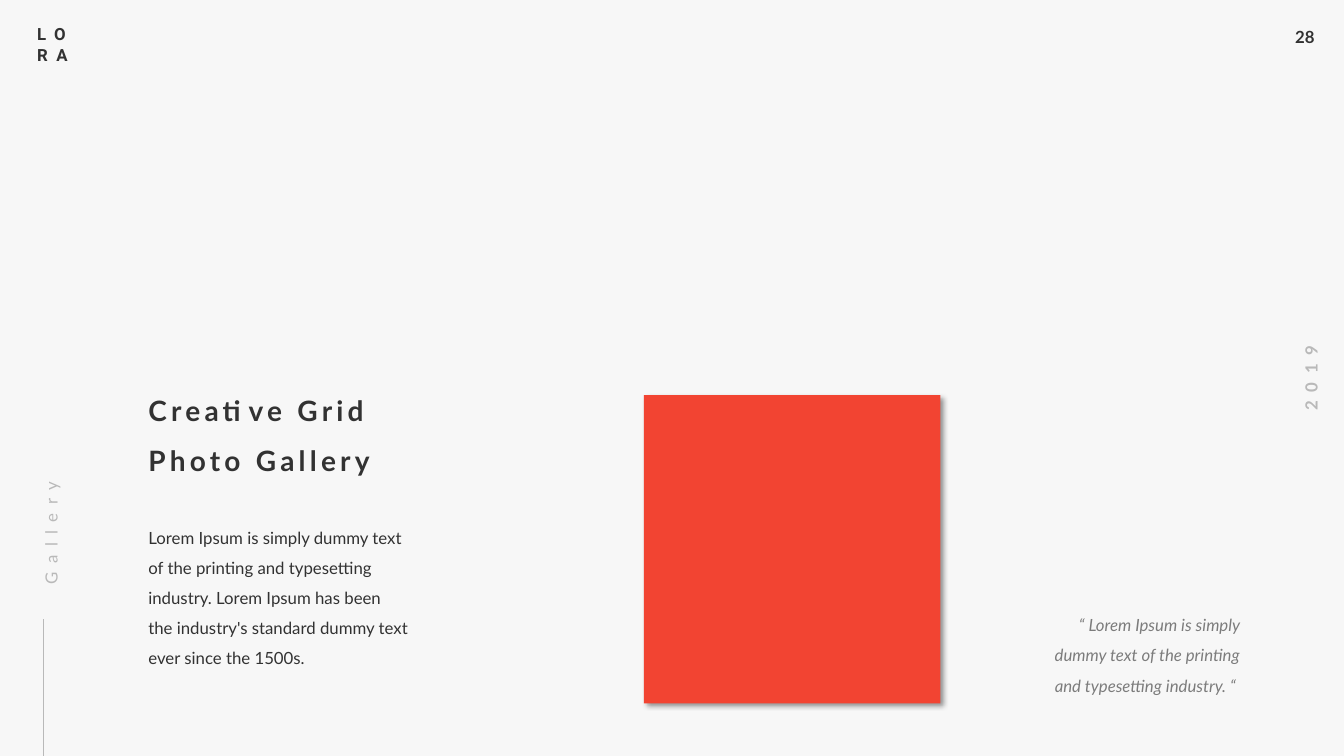
from dataclasses import dataclass

import pptx
import pptx.dml.color
import pptx.enum.shapes
import pptx.enum.text
import pptx.oxml
import pptx.oxml.ns
import pptx.oxml.xmlchemy
import pptx.shapes.autoshape
import pptx.slide
import pptx.util
from lxml import etree

Pt = pptx.util.Pt
Align = pptx.enum.text.PP_ALIGN

BACKGROUND = "F7F7F7"
DARK = "323232"
MEDIUM = "7C7C7C"
LIGHT = "B9B9B9"
ACCENT = "F24432"

DEFAULT_INSETS = (7.2, 3.6, 7.2, 3.6)
CONTENT_INSETS = (0, 0, 7.2, 0)


@dataclass(frozen=True)
class Label:
    text: str
    left: float
    top: float
    width: float
    height: float
    color: str = DARK
    size: float = 12
    font: str = "Lato"
    bold: bool = False
    italic: bool = False
    tracking: float = 0
    align: Align = Align.LEFT
    line_spacing: float = 1
    space_before: float = 0
    insets: tuple[float, float, float, float] = CONTENT_INSETS
    rotation: float = 0
    wrap: bool = True


LABELS = [
    Label("28", 918, 15.84, 29.5, 21.6, bold=True, insets=DEFAULT_INSETS, wrap=False),
    Label("2019", 902.9, 259.2, 67, 21.6, LIGHT, bold=True, tracking=6,
          align=Align.CENTER, insets=DEFAULT_INSETS, rotation=270, wrap=False),
    Label("LO\nRA", 19.5, 13.7, 42.5, 36, font="Roboto", bold=True, tracking=6,
          insets=DEFAULT_INSETS),
    Label("Lorem Ipsum is simply dummy text of the printing and typesetting industry. "
          "Lorem Ipsum has been the industry's standard dummy text ever since the 1500s.",
          106, 369.4, 193.7, 105.8, line_spacing=1.5, space_before=12),
    Label("Creative Grid\nPhoto Gallery", 106, 280.8, 207.4, 60.5, size=20, bold=True,
          tracking=3, space_before=12),
    Label("Gallery", -35.3, 341.3, 133.2, 18.7, LIGHT, tracking=6, line_spacing=1.5,
          space_before=12, rotation=270),
    Label("“ Lorem Ipsum is simply dummy text of the printing and typesetting industry. “ ",
          753.1, 432, 139.7, 62.6, MEDIUM, italic=True, align=Align.RIGHT,
          line_spacing=1.5, space_before=12),
]


def rgb(value: str) -> pptx.dml.color.RGBColor:
    return pptx.dml.color.RGBColor.from_string(value)


def add_label(slide: pptx.slide.Slide, label: Label) -> None:
    shape = slide.shapes.add_textbox(
        Pt(label.left), Pt(label.top), Pt(label.width), Pt(label.height))
    shape.rotation = label.rotation
    frame = shape.text_frame
    frame.text = label.text
    frame.word_wrap = label.wrap
    frame.auto_size = pptx.enum.text.MSO_AUTO_SIZE.SHAPE_TO_FIT_TEXT
    (frame.margin_left, frame.margin_top,
     frame.margin_right, frame.margin_bottom) = map(Pt, label.insets)
    for paragraph in frame.paragraphs:
        paragraph.alignment = label.align
        paragraph.line_spacing = label.line_spacing
        paragraph.space_before = Pt(label.space_before)
        for run in paragraph.runs:
            run.font.name = label.font
            run.font.size = Pt(label.size)
            run.font.bold = label.bold
            run.font.italic = label.italic
            run.font.color.rgb = rgb(label.color)
    if label.tracking:
        for properties in shape.element.iter(pptx.oxml.ns.qn("a:rPr")):
            properties.set("spc", str(round(label.tracking * 100)))


def add_shadow(shape: pptx.shapes.autoshape.Shape) -> None:
    effects = shape.element.spPr.find(pptx.oxml.ns.qn("a:effectLst"))
    shadow = etree.SubElement(
        effects, pptx.oxml.ns.qn("a:outerShdw"), blurRad=str(Pt(4)), dist=str(Pt(3)),
        dir=str(45 * 60000), algn="tl", rotWithShape="0")
    color = etree.SubElement(shadow, pptx.oxml.ns.qn("a:srgbClr"), val="000000")
    etree.SubElement(color, pptx.oxml.ns.qn("a:alpha"), val="40000")


def add_accent_panel(slide: pptx.slide.Slide) -> None:
    panel = slide.shapes.add_shape(
        pptx.enum.shapes.MSO_SHAPE.RECTANGLE, Pt(460), Pt(282.2), Pt(211.7), Pt(220.3))
    panel.fill.solid()
    panel.fill.fore_color.rgb = rgb(ACCENT)
    panel.line.fill.background()
    panel.shadow.inherit = False
    add_shadow(panel)


def add_side_rule(slide: pptx.slide.Slide) -> None:
    rule = slide.shapes.add_connector(
        pptx.enum.shapes.MSO_CONNECTOR.STRAIGHT, Pt(31), Pt(540), Pt(31), Pt(442.1))
    rule.line.color.rgb = rgb(LIGHT)
    rule.line.width = Pt(0.5)
    etree.SubElement(rule.element.spPr, pptx.oxml.ns.qn("a:effectLst"))


def main() -> None:
    presentation = pptx.Presentation()
    presentation.slide_width = Pt(960)
    presentation.slide_height = Pt(540)
    slide = presentation.slides.add_slide(presentation.slide_layouts[6])
    slide.background.fill.solid()
    slide.background.fill.fore_color.rgb = rgb(BACKGROUND)
    add_accent_panel(slide)
    add_side_rule(slide)
    for label in LABELS:
        add_label(slide, label)
    presentation.save("out.pptx")


if __name__ == "__main__":
    main()
